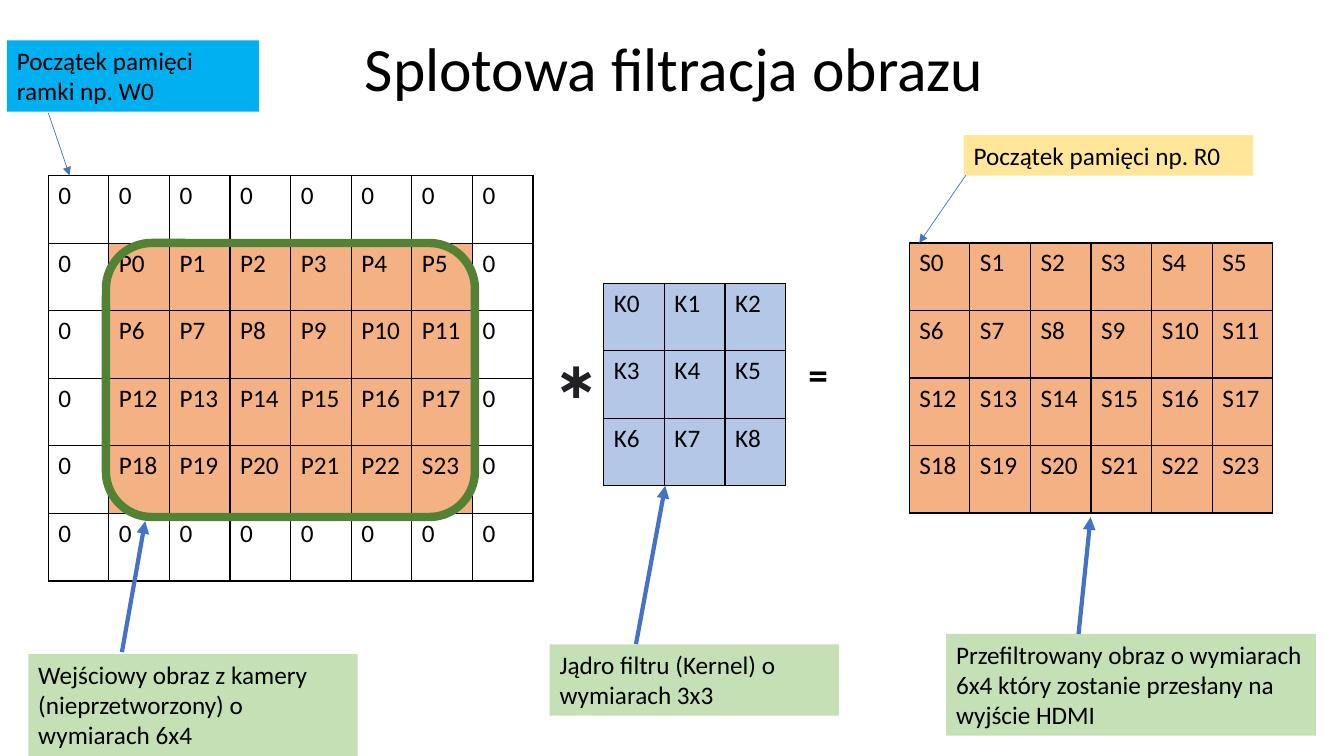
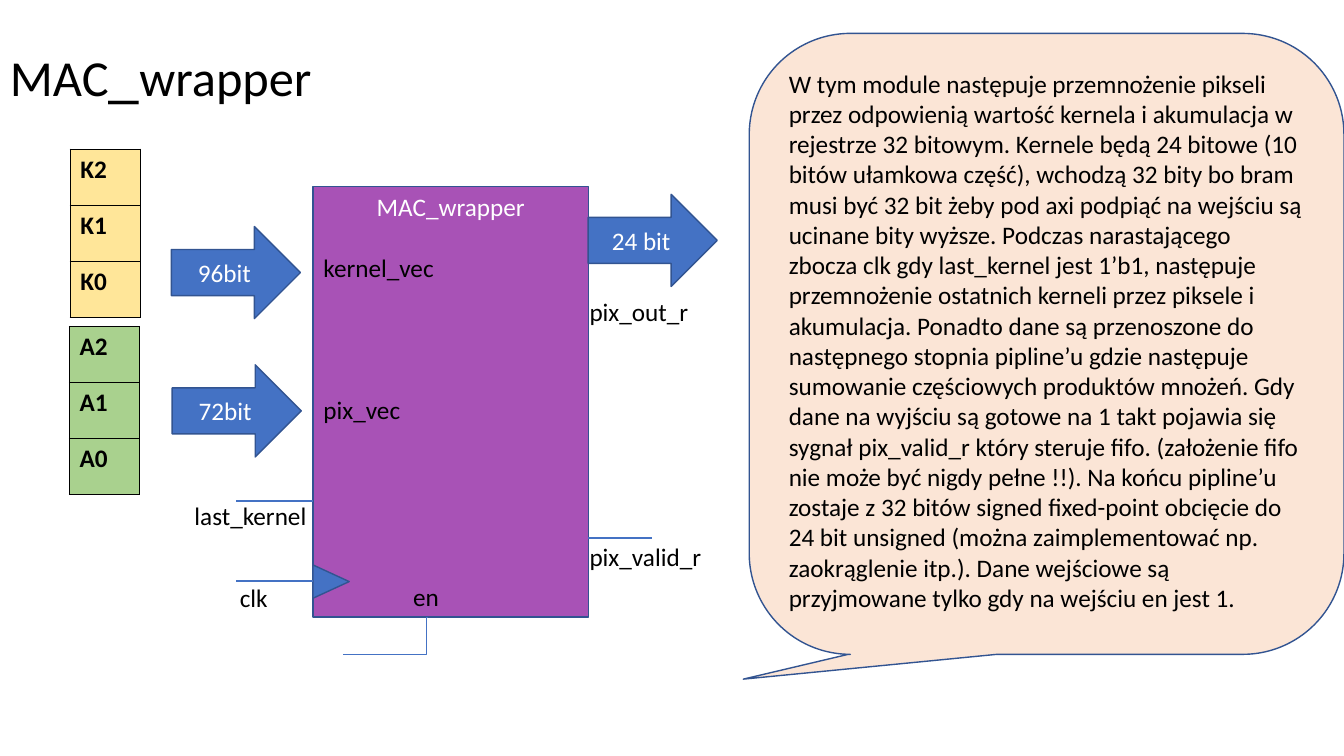
from dataclasses import dataclass

from lxml import etree
from pptx import Presentation
from pptx.dml.color import RGBColor
from pptx.enum.shapes import MSO_CONNECTOR as Connector, MSO_SHAPE as Shape
from pptx.enum.text import MSO_ANCHOR as Anchor, PP_ALIGN as Align
from pptx.oxml.ns import qn
from pptx.util import Pt


@dataclass(frozen=True)
class Theme:
    # Fonts and type sizes
    font: str = "Calibri"
    symbol_font: str = "Lato"
    body: int = 18
    equals: int = 28
    subtitle: int = 36
    title: int = 44
    # Colours
    black: str = "000000"
    white: str = "FFFFFF"
    symbol: str = "202124"
    blue: str = "4472C4"
    outline: str = "325491"
    sky: str = "00B0F0"
    pale_blue: str = "B4C7E7"
    orange: str = "F4B183"
    peach: str = "FBE5D6"
    yellow: str = "FFE699"
    pale_green: str = "C5E0B4"
    green: str = "A9D18E"
    dark_green: str = "548235"
    purple: str = "A852B6"


THEME = Theme()
CELL_WIDTH, CELL_HEIGHT = 43.3, 48.25
INPUT_COLUMNS, INPUT_ROWS = 6, 4

DESCRIPTION = (
    "W tym module następuje przemnożenie pikseli przez odpowienią wartość kernela "
    "i akumulacja w rejestrze 32 bitowym.",
    "Kernele będą 24 bitowe (10 bitów ułamkowa część), wchodzą 32 bity bo bram musi "
    "być 32 bit żeby pod axi podpiąć na wejściu są ucinane bity wyższe.",
    "Podczas narastającego zbocza clk gdy last_kernel jest 1’b1, następuje "
    "przemnożenie ostatnich kerneli przez piksele i akumulacja.",
    "Ponadto dane są przenoszone do następnego stopnia pipline’u gdzie następuje "
    "sumowanie częściowych produktów mnożeń.",
    "Gdy dane na wyjściu są gotowe na 1 takt pojawia się sygnał pix_valid_r który "
    "steruje fifo. (założenie fifo nie może być nigdy pełne !!).",
    "Na końcu pipline’u zostaje z 32 bitów signed fixed-point obcięcie do 24 bit "
    "unsigned (można zaimplementować np. zaokrąglenie itp.).",
    "Dane wejściowe są przyjmowane tylko gdy na wejściu en jest 1.",
)


def points(*lengths):
    return [Pt(length) for length in lengths]


def color(value):
    return RGBColor.from_string(value)


def paint(fill, value):
    if value:
        fill.solid()
        fill.fore_color.rgb = color(value)
    else:
        fill.background()


def add_run(paragraph, text, size=THEME.body, ink=THEME.black, bold=False, font=THEME.font):
    run = paragraph.add_run()
    run.text = text
    run.font.name = font
    run.font.size = Pt(size)
    run.font.bold = bold
    run.font.color.rgb = color(ink)


def add_label(slide, box, text, fill=None, wrap=True, **style):
    """Plain text, or a coloured note when a fill is given."""
    label = slide.shapes.add_textbox(*points(*box))
    label.text_frame.word_wrap = wrap
    paint(label.fill, fill)
    add_run(label.text_frame.paragraphs[0], text, **style)


def add_title(slide, left, top, runs, align):
    frame = slide.shapes.add_textbox(*points(left, top, 828, 104.4)).text_frame
    frame.word_wrap = True
    frame.vertical_anchor = Anchor.MIDDLE
    paragraph = frame.paragraphs[0]
    paragraph.alignment = align
    paragraph.line_spacing = 0.9
    for text, size in runs:
        add_run(paragraph, text, size)


def add_figure(slide, kind, box, fill, line=THEME.outline, width=1, text="",
               ink=THEME.white, align=Align.CENTER, anchor=Anchor.MIDDLE):
    figure = slide.shapes.add_shape(kind, *points(*box))
    figure.shadow.inherit = False
    paint(figure.fill, fill)
    figure.line.color.rgb = color(line)
    figure.line.width = Pt(width)
    if text:
        figure.text_frame.word_wrap = True
        figure.text_frame.vertical_anchor = anchor
        paragraph = figure.text_frame.paragraphs[0]
        paragraph.alignment = align
        add_run(paragraph, text, ink=ink)
    return figure


def add_line(slide, start, end, width, arrow=False, kind=Connector.STRAIGHT):
    line = slide.shapes.add_connector(kind, *points(*start, *end))
    line.line.color.rgb = color(THEME.blue)
    line.line.width = Pt(width)
    if arrow:
        etree.SubElement(line.line._get_or_add_ln(), qn("a:tailEnd"), type="triangle")
    etree.SubElement(line._element.spPr, qn("a:effectLst"))
    return line


def add_borders(cell):
    properties = cell._tc.get_or_add_tcPr()
    for side in ("lnL", "lnR", "lnT", "lnB"):
        border = etree.SubElement(properties, qn(f"a:{side}"), w=str(Pt(1)))
        fill = etree.SubElement(border, qn("a:solidFill"))
        etree.SubElement(fill, qn("a:srgbClr"), val=THEME.black)


def add_grid(slide, left, top, rows, fill_of, cell_size=(CELL_WIDTH, CELL_HEIGHT), bold=False):
    """Table of equal cells; fill_of gives the fill for a cell's text."""
    width, height = cell_size
    row_count, column_count = len(rows), len(rows[0])
    table = slide.shapes.add_table(
        row_count, column_count,
        *points(left, top, width * column_count, height * row_count)).table
    table.first_row = table.horz_banding = False
    for column in table.columns:
        column.width = Pt(width)
    for row, texts in zip(table.rows, rows):
        row.height = Pt(height)
        for cell, text in zip(row.cells, texts):
            add_borders(cell)
            paint(cell.fill, fill_of(text))
            add_run(cell.text_frame.paragraphs[0], text, bold=bold)


def numbered(letter, row_count, column_count):
    return [[f"{letter}{row * column_count + column}" for column in range(column_count)]
            for row in range(row_count)]


def build_filtering(slide):
    add_title(slide, 67.7, -1.4, [("Splotowa filtracja obrazu", THEME.title)], Align.CENTER)

    # Input image with a border of zeros
    pixels = numbered("P", INPUT_ROWS, INPUT_COLUMNS)
    pixels[-1][-1] = "S23"
    zeros = ["0"] * (INPUT_COLUMNS + 2)
    padded = [zeros] + [["0", *row, "0"] for row in pixels] + [zeros]
    add_grid(slide, 34.5, 125.5, padded,
             lambda text: None if text == "0" else THEME.orange)
    add_figure(slide, Shape.ROUNDED_RECTANGLE, (75.7, 173.6, 263.5, 195.7), None,
               THEME.dark_green, 6)

    # Kernel and result
    add_grid(slide, 431.3, 202.3, numbered("K", 3, 3), lambda text: THEME.pale_blue)
    add_grid(slide, 649.5, 173.5, numbered("S", INPUT_ROWS, INPUT_COLUMNS),
             lambda text: THEME.orange)

    # Operators
    add_label(slide, (389.5, 244.8, 32.4, 51), "∗", wrap=False, size=THEME.subtitle,
              ink=THEME.symbol, bold=True, font=THEME.symbol_font)
    add_label(slide, (570.3, 247, 28.8, 41), "=", wrap=False, size=THEME.equals, bold=True)

    # Notes
    for box, text, fill in (
        ((5, 28.8, 180, 51), "Początek pamięci ramki np. W0", THEME.sky),
        ((20.2, 467.3, 235.3, 72.7),
         "Wejściowy obraz z kamery (nieprzetworzony) o wymiarach 6x4", THEME.pale_green),
        ((392.6, 460.2, 206.8, 51), "Jądro filtru (Kernel) o wymiarach 3x3", THEME.pale_green),
        ((688.3, 96.5, 206.8, 29), "Początek pamięci np. R0", THEME.yellow),
        ((675.8, 452.8, 264.2, 72.7),
         "Przefiltrowany obraz o wymiarach 6x4 który zostanie przesłany na wyjście HDMI",
         THEME.pale_green),
    ):
        add_label(slide, box, text, fill)

    # Arrows from the notes to the tables
    for start, end, width in (
        ((34.5, 80.6), (49.7, 125.3), 0.5),
        ((87.1, 465.8), (103.7, 372.2), 3),
        ((454.3, 460.1), (475.2, 347), 3),
        ((689.8, 125.3), (656.6, 173.5), 0.5),
        ((770.4, 452.9), (779, 369.4), 3),
    ):
        add_line(slide, start, end, width, arrow=True)


def build_wrapper(slide):
    add_title(slide, 0, 2.2, [("MAC", THEME.subtitle), ("_", THEME.title),
                              ("wrapper", THEME.subtitle)], Align.LEFT)

    # Module block and clock marker
    add_figure(slide, Shape.RECTANGLE, (223.7, 133.2, 196.5, 307.5), THEME.purple,
               text="MAC_wrapper", anchor=Anchor.TOP)
    clock = add_figure(slide, Shape.ISOSCELES_TRIANGLE, (224.6, 402.5, 23.8, 25.9), THEME.blue)
    clock.rotation = 90

    # Input vectors
    for left, top, letter, fill in ((50.2, 106.6, "K", THEME.yellow),
                                    (49.7, 233.2, "A", THEME.green)):
        add_grid(slide, left, top, numbered(letter, 3, 1)[::-1],
                 lambda text: fill, (50, 40.1), bold=True)

    # Data buses
    for left, top, text in ((122.4, 161.8, "96bit"), (123, 260.6, "72bit"),
                            (420.1, 138.8, "24 bit")):
        add_figure(slide, Shape.RIGHT_ARROW, (left, top, 92.2, 65.8), THEME.blue, text=text)

    # Single-bit signals
    for start, end in (((223.7, 357.8), (168.5, 357.8)),
                       ((223.7, 415.2), (168.5, 415.2)),
                       ((420.1, 384), (465.8, 384))):
        add_line(slide, start, end, 1.5)
    enable = add_line(slide, (305.7, 441.2), (245.2, 467.3), 0.5, kind=Connector.ELBOW)
    bends = enable._element.spPr.find(qn("a:prstGeom")).get_or_add_avLst()
    etree.SubElement(bends, qn("a:gd"), name="adj1", fmla="val 2100")

    # Port names
    for left, top, width, text in (
        (223.9, 176.4, 98, "kernel_vec"),
        (223.9, 278, 98, "pix_vec"),
        (131.8, 353.5, 104.4, "last_kernel"),
        (164.2, 412.4, 55.4, "clk"),
        (288, 411.8, 98, "en"),
        (414, 208.4, 98, "pix_out_r"),
        (414, 383, 98, "pix_valid_r"),
    ):
        add_label(slide, (left, top, width, 29), text)

    # Description
    callout = add_figure(slide, Shape.ROUNDED_RECTANGULAR_CALLOUT, (535.2, 23.9, 424.8, 443.5),
                         THEME.peach, text=" ".join(DESCRIPTION), ink=THEME.black,
                         align=Align.LEFT, anchor=Anchor.TOP)
    for index, value in enumerate((-0.51, 0.54, 0.17)):
        callout.adjustments[index] = value


def main():
    presentation = Presentation()
    presentation.slide_width, presentation.slide_height = points(960, 540)
    blank = presentation.slide_layouts[6]
    for build in (build_filtering, build_wrapper):
        build(presentation.slides.add_slide(blank))
    presentation.save("out.pptx")


if __name__ == "__main__":
    main()
